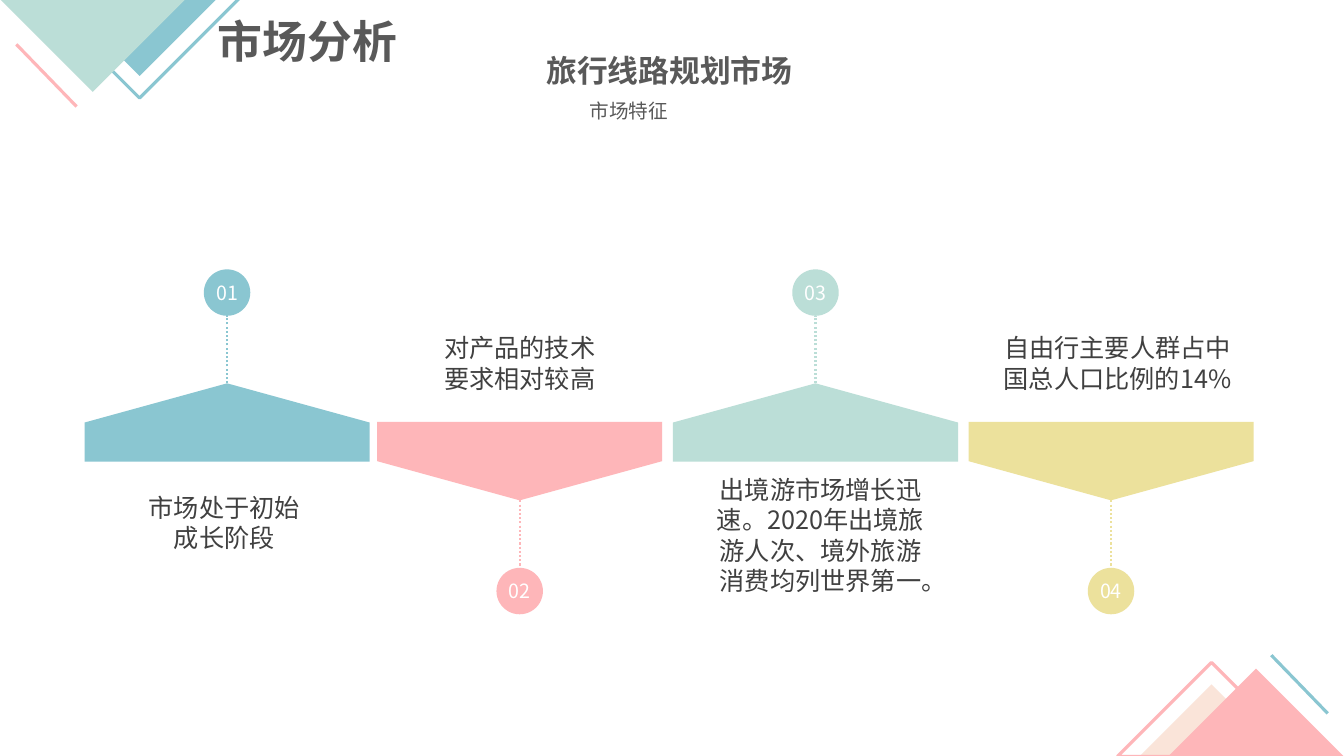
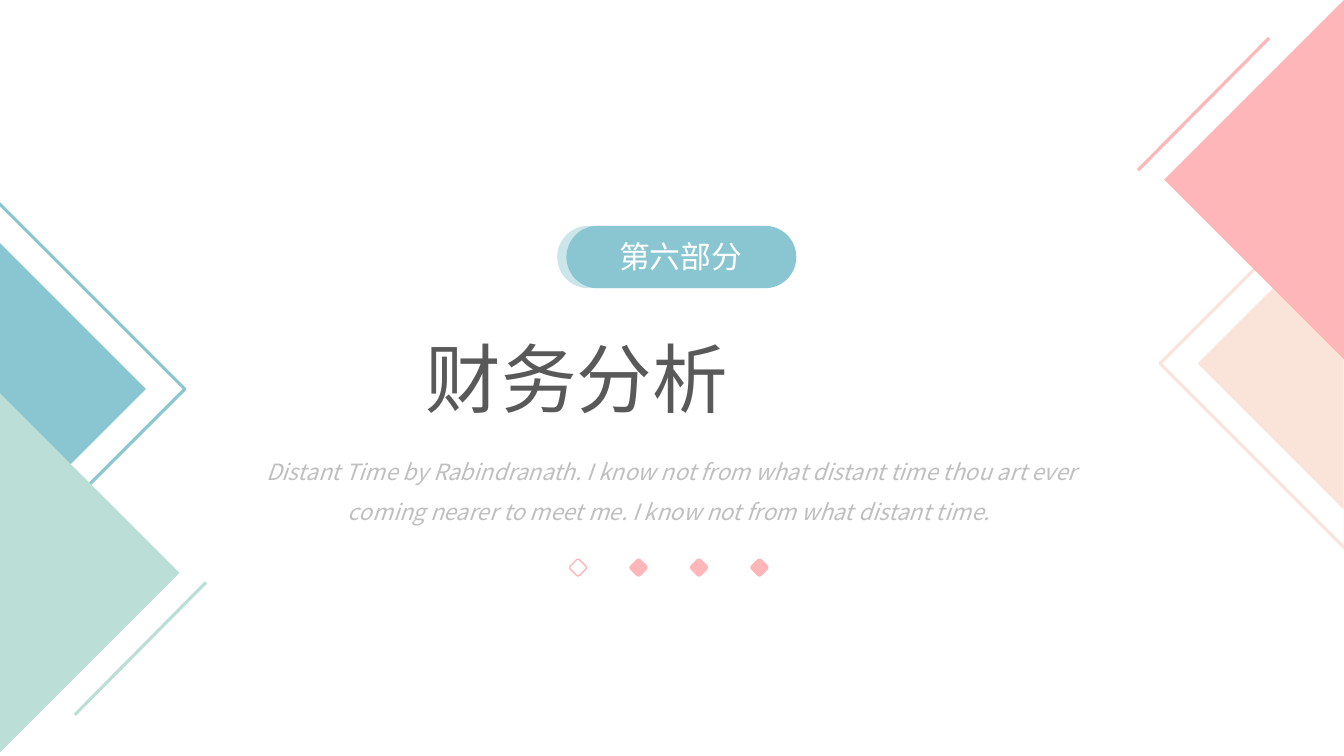
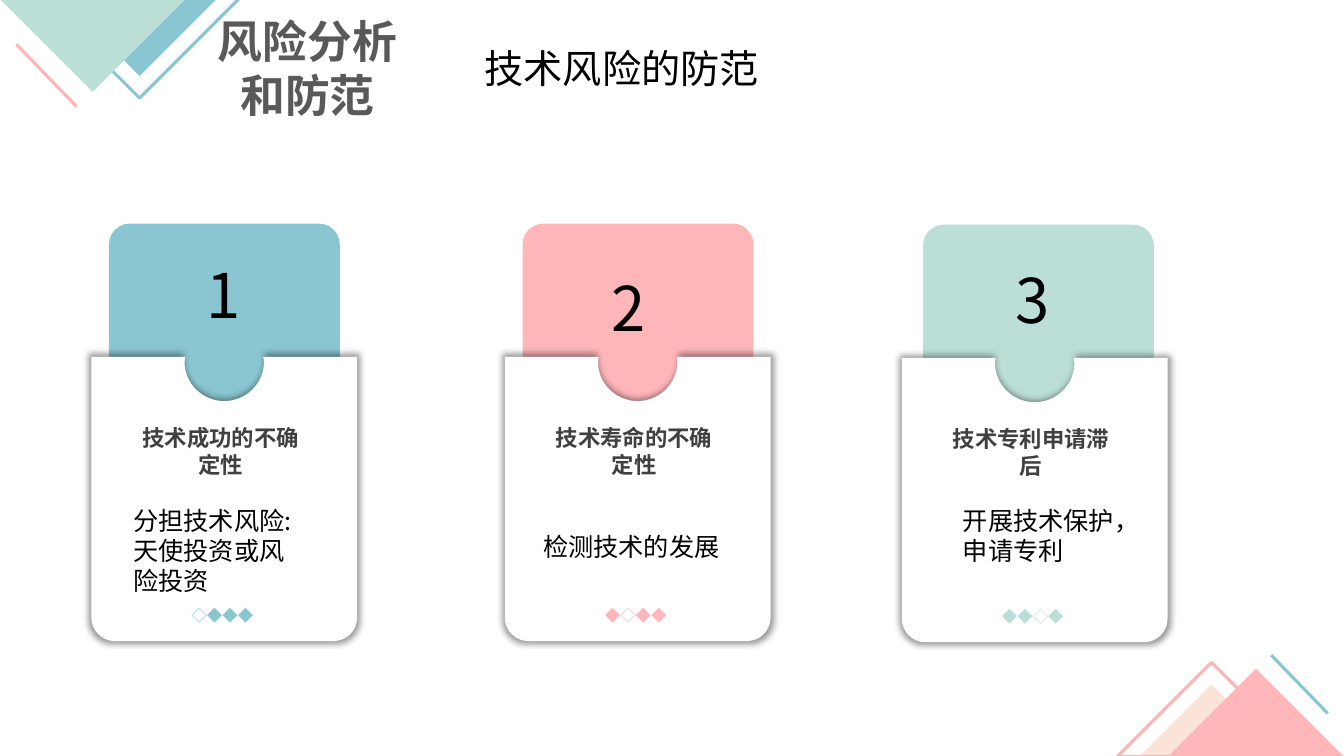
"""Build three slides of a travel business plan: market, section opener and risk."""
from lxml import etree
from pptx import Presentation
from pptx.dml.color import RGBColor
from pptx.enum import dml, shapes, text
from pptx.oxml import ns
from pptx.util import Pt

FONT = "Noto Sans CJK SC"
BLUE, PINK, MINT = "8AC6D1", "FEB6B9", "BBDED7"
PEACH, YELLOW, PALE_BLUE = "FAE4D9", "ECE19C", "CBE6EB"
WHITE, BLACK, DARK, GREY, SILVER = "FFFFFF", "000000", "404040", "595959", "BFBFBF"
SHAPE = shapes.MSO_SHAPE
LEFT, CENTER, JUSTIFY = text.PP_ALIGN.LEFT, text.PP_ALIGN.CENTER, text.PP_ALIGN.JUSTIFY


def colour(value):
    """Turn a hex string into a colour."""
    return RGBColor.from_string(value)


def paint(shape, fill=None, line=None, width=1):
    """Set fill and outline, and drop the theme shadow."""
    shape.shadow.inherit = False
    if fill:
        shape.fill.solid()
        shape.fill.fore_color.rgb = colour(fill)
    else:
        shape.fill.background()
    if line:
        shape.line.color.rgb = colour(line)
        shape.line.width = Pt(width)
    else:
        shape.line.fill.background()


def add_preset(slide, kind, box, fill=None, line=None, width=1, rotation=0, rounding=None):
    """Add a preset shape in a left, top, width, height box."""
    shape = slide.shapes.add_shape(kind, *map(Pt, box))
    paint(shape, fill, line, width)
    shape.rotation = rotation
    if rounding is not None:
        shape.adjustments[0] = rounding


def add_line(slide, start, end, color, width=2.25, dash=None):
    """Add a straight line between two points."""
    line = slide.shapes.add_connector(shapes.MSO_CONNECTOR.STRAIGHT, *map(Pt, start + end))
    line.line.color.rgb = colour(color)
    line.line.width = Pt(width)
    if dash:
        line.line.dash_style = dash
    etree.SubElement(line._element.spPr, ns.qn("a:effectLst"))


def add_text(slide, box, content, size, color, align=LEFT, bold=False, italic=False, spacing=None):
    """Add a wrapping text box with one paragraph."""
    frame = slide.shapes.add_textbox(*map(Pt, box)).text_frame
    frame.word_wrap = True
    frame.auto_size = text.MSO_AUTO_SIZE.SHAPE_TO_FIT_TEXT
    paragraph = frame.paragraphs[0]
    paragraph.text = content
    paragraph.alignment = align
    if spacing:
        paragraph.line_spacing = spacing
    font = paragraph.font
    font.size, font.bold, font.italic = Pt(size), bold, italic
    font.color.rgb = colour(color)
    font.name = FONT
    properties = paragraph._p.pPr.find(ns.qn("a:defRPr"))
    etree.SubElement(properties, ns.qn("a:ea"), typeface=FONT)


def add_triangles(slide, rotation, triangles):
    """Add turned right triangles, each filled or outlined."""
    for left, top, size, fill, line in triangles:
        add_preset(slide, SHAPE.RIGHT_TRIANGLE, (left, top, size, size), fill, line, 2.25, rotation)


def add_blank_slide(presentation):
    """Add a slide with the blank layout."""
    return presentation.slides.add_slide(presentation.slide_layouts[6])


def add_content_slide(presentation, title, title_height):
    """Add a slide with the corner ornaments and a bold title."""
    slide = add_blank_slide(presentation)
    add_triangles(slide, 135, [
        (828.7, 504, 73.4, PEACH, None),
        (852.5, 496.1, 89.3, PINK, None),
        (817.9, 492.8, 95, None, PINK),
    ])
    add_line(slide, (908.1, 468), (948.4, 509.6), BLUE)
    add_triangles(slide, 315, [
        (49.3, -51.6, 100.8, None, BLUE),
        (60.5, -40.5, 78.5, BLUE, None),
        (18.7, -49, 95, MINT, None),
    ])
    add_line(slide, (54.7, 76.1), (11.7, 31.7), PINK)
    add_text(slide, (143.7, 6.4, 152, title_height), title, 32, GREY, CENTER, bold=True)
    return slide


def add_marker(slide, number, center, direction, color):
    """Add a pointed plate with a dotted stem and a numbered circle."""
    middle, plate_width, plate_height, circle = 315.6, 203.6, 56, 33.2
    plate_middle = middle + direction * 13.8
    plate = (center - plate_height / 2, plate_middle - plate_width / 2, plate_height, plate_width)
    add_preset(slide, SHAPE.PENTAGON, plate, color, rotation=direction * 90 % 360)
    add_line(slide, (center, middle + direction * 41.8), (center, middle + direction * 90),
             color, 1.5, dml.MSO_LINE.ROUND_DOT)
    hub = middle + direction * 106.6
    add_preset(slide, SHAPE.OVAL, (center - circle / 2, hub - circle / 2, circle, circle), color)
    add_text(slide, (center - 22.7, hub - 12.2, 45.4, 24.5), number, 14, WHITE, CENTER)


def add_outline(slide, left, top, segments):
    """Add a closed outline whose segments have one point, or three for a curve."""
    points = [(Pt(left + x), Pt(top + y)) for segment in segments for x, y in segment]
    builder = slide.shapes.build_freeform(*points[0])
    builder.add_line_segments(points[1:])
    shape = builder.convert_to_shape()
    steps = iter(list(shape._element.iter(ns.qn("a:lnTo"))))
    for segment in segments[1:]:
        pieces = [next(steps) for _ in segment]
        if len(pieces) == 3:
            curve = etree.Element(ns.qn("a:cubicBezTo"))
            pieces[0].addprevious(curve)
            for piece in pieces:
                curve.append(piece[0])
                piece.getparent().remove(piece)
    return shape


def add_notched_card(slide, left, top):
    """Add a white card with a round notch, round lower corners and a soft shadow."""
    card = add_outline(slide, left, top, [
        [(0, 0)], [(67, 0)], [(66.5, 3.5)],
        [(66.5, 19), (79.2, 31.6), (94.9, 31.6)],
        [(110.6, 31.6), (123.3, 19), (123.3, 3.5)],
        [(122.8, 0)], [(189.8, 0)], [(189.8, 186.3)],
        [(189.8, 195.5), (182.3, 203)] + [(173.1, 203)], [(16.7, 203)],
        [(7.5, 203), (0, 195.5), (0, 186.3)],
    ])
    paint(card, WHITE)
    effects = card._element.spPr.find(ns.qn("a:effectLst"))
    shadow = etree.SubElement(effects, ns.qn("a:outerShdw"), blurRad=str(Pt(5)), sx="102000",
                              sy="102000", algn="ctr", rotWithShape="0")
    tone = etree.SubElement(shadow, ns.qn("a:srgbClr"), val=BLACK)
    etree.SubElement(tone, ns.qn("a:alpha"), val="40000")


def add_risk(slide, left, top, tab_left, color, heading, diamonds):
    """Add a coloured tab, its notched card, a heading and a row of diamonds."""
    tab = (tab_left, top - 95.2, 164.9, 257.8)
    add_preset(slide, SHAPE.ROUNDED_RECTANGLE, tab, color, rounding=0.09)
    add_notched_card(slide, left, top)
    add_text(slide, (left + 22.5, top + 44.6, 139.7, 46), heading, 16, DARK, CENTER, bold=True)
    add_text(slide, (left + 50.7, top + 174.5, 85.7, 21), diamonds, 11, color, CENTER)


def build_market(presentation):
    """Build the market feature slide."""
    slide = add_content_slide(presentation, "市场分析", 46)
    add_text(slide, (381.6, 33.1, 193, 33.8), "旅行线路规划市场", 22, GREY, CENTER, bold=True)
    add_text(slide, (414, 67, 127.4, 24.5), "市场特征", 14, GREY, JUSTIFY)
    markers = [
        ("01", 162.2, -1, BLUE, (90.4, 347.8, 139.7, 51), "市场处于初始成长阶段"),
        ("02", 371.2, 1, PINK, (301.4, 234, 139.7, 51), "对产品的技术要求相对较高"),
        ("03", 582.5, -1, MINT, (499, 335.3, 174.2, 94.3),
         "出境游市场增长迅速。2020年出境旅游人次、境外旅游消费均列世界第一。"),
        ("04", 793.6, 1, YELLOW, (709.4, 234, 177.8, 51), "自由行主要人群占中国总人口比例的14%"),
    ]
    for number, center, direction, color, box, caption in markers:
        add_marker(slide, number, center, direction, color)
        add_text(slide, box, caption, 18, DARK, CENTER)


def build_section(presentation):
    """Build the section opener."""
    slide = add_blank_slide(presentation)
    pill_top, pill_width, pill_height = 161.3, 164.2, 44.6
    for left, color in [(398, PALE_BLUE), (404.6, BLUE)]:
        add_preset(slide, SHAPE.ROUNDED_RECTANGLE, (left, pill_top, pill_width, pill_height),
                   color, rounding=0.5)
    add_triangles(slide, 225, [
        (-74, 204, 147.6, BLUE, None),
        (-95.4, 183.7, 188.4, None, BLUE),
        (-94.3, 317, 184.3, MINT, None),
    ])
    add_line(slide, (53.5, 510.5), (147.1, 416), MINT)
    add_triangles(slide, 45, [
        (886, 185.8, 147.6, PEACH, None),
        (867.4, 166.1, 187.2, None, PEACH),
        (869.8, 36.2, 184.3, PINK, None),
    ])
    add_line(slide, (906.5, 27.2), (812.9, 121.5), PINK)
    add_text(slide, (419, 166.5, 134.6, 33.8), "第六部分", 22, WHITE, CENTER)
    add_text(slide, (296.8, 233.8, 383, 72.7), "财务分析", 54, GREY, JUSTIFY)
    add_text(slide, (175.5, 313.9, 608.4, 62.6),
             "Distant Time by Rabindranath. I know not from what distant time thou art ever "
             "coming nearer to meet me. I know not from what distant time. ",
             16, SILVER, CENTER, italic=True, spacing=1.5)
    for index in range(4):
        add_preset(slide, SHAPE.ROUNDED_RECTANGLE, (408.2 + index * 43.2, 400.7, 9.4, 9.4),
                   PINK if index else None, PINK, rotation=45)


def build_risk(presentation):
    """Build the risk prevention slide."""
    slide = add_content_slide(presentation, "风险分析和防范", 85)
    risks = [
        (65.3, 254.9, 77.8, BLUE, "技术成功的不确定性", "◇◆◆◆"),
        (360.6, 254.9, 373.3, PINK, "技术寿命的不确定性", "◆◇◆◆"),
        (644.2, 255.7, 659.3, MINT, "技术专利申请滞后", "◆◆◇◆"),
    ]
    for risk in risks:
        add_risk(slide, *risk)
    for number, left, top in [("1", 140.4, 180), ("2", 429.8, 189.4), ("3", 718.1, 183.6)]:
        add_text(slide, (left, top, 62.6, 60.5), number, 44, BLACK)
    add_text(slide, (339.1, 28.1, 243.4, 41), "技术风险的防范", 28, BLACK)
    measures = [
        ((380.9, 375.8, 170.6, 28.8), "检测技术的发展"),
        ((680.8, 357.5, 132.5, 51), "开展技术保护，申请专利"),
        ((88.2, 357.1, 139.7, 72.7), "分担技术风险:天使投资或风险投资"),
    ]
    for box, measure in measures:
        add_text(slide, box, measure, 18, BLACK)


def main():
    """Build and save the presentation."""
    presentation = Presentation()
    presentation.slide_width, presentation.slide_height = Pt(960), Pt(540)
    build_market(presentation)
    build_section(presentation)
    build_risk(presentation)
    presentation.save("out.pptx")


if __name__ == "__main__":
    main()
